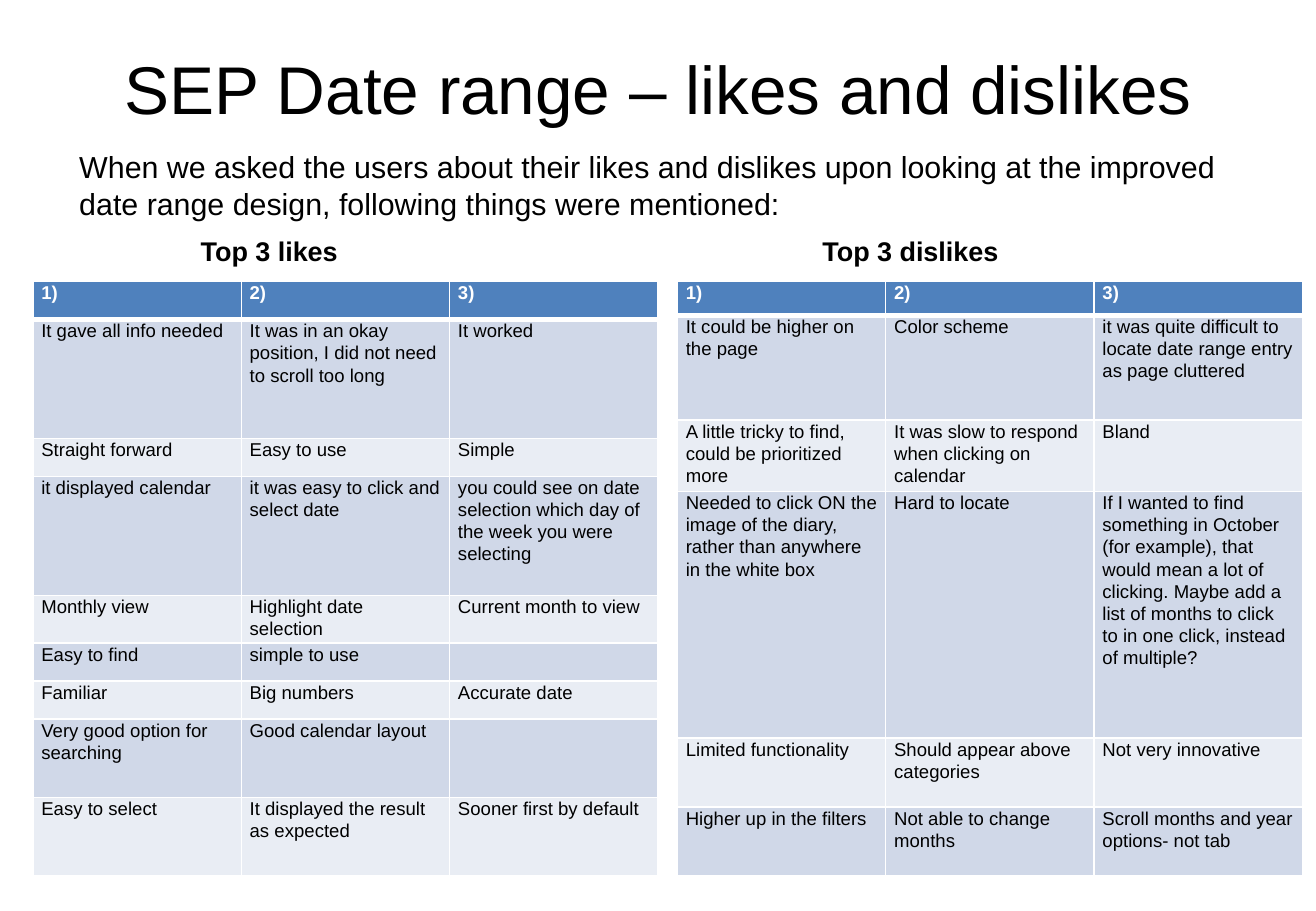
"""Build the slide on likes and dislikes of the date range design."""
import pptx
import pptx.util
import pptx.dml.color
import pptx.enum.text
import pptx.oxml.ns
import lxml.etree

Pt = pptx.util.Pt


def color(value):
    """Turn a hex string into a colour."""
    return pptx.dml.color.RGBColor.from_string(value)


class Deck:
    """Hold the style and the current slide."""

    font = "Arial"
    ink, paper = "000000", "FFFFFF"
    header, bands = "4F81BD", ("E9EDF4", "D0D8E8")

    def __init__(self, prs):
        """Add a blank slide to the presentation."""
        self.s = prs.slides.add_slide(prs.slide_layouts[6])

    def style(self, p, size, ink, bold=False):
        """Set the font of a paragraph."""
        p.font.name = self.font
        p.font.size = Pt(size)
        p.font.bold = bold
        p.font.color.rgb = color(ink)

    def text(self, text, x, y, w, h, size, bold=False, align="LEFT"):
        """Add a text box without margins."""
        tf = self.s.shapes.add_textbox(Pt(x), Pt(y), Pt(w), Pt(h)).text_frame
        tf.word_wrap = True
        tf.margin_left = tf.margin_right = tf.margin_top = tf.margin_bottom = 0
        p = tf.paragraphs[0]
        p.text = text
        p.alignment = getattr(pptx.enum.text.PP_ALIGN, align)
        self.style(p, size, self.ink, bold)

    def border(self, cell, **widths):
        """Draw the four borders of a cell."""
        tag = pptx.oxml.ns.qn
        tc_pr = cell._tc.get_or_add_tcPr()
        for side in "LRTB":
            ln = lxml.etree.SubElement(tc_pr, tag("a:ln" + side), w=str(Pt(widths.get(side, 1))))
            fill = lxml.etree.SubElement(ln, tag("a:solidFill"))
            lxml.etree.SubElement(fill, tag("a:srgbClr"), val=self.paper)

    def cell(self, cell, text, row):
        """Fill one table cell according to its row."""
        cell.margin_left = cell.margin_right = Pt(5)
        cell.margin_top = cell.margin_bottom = 0
        self.border(cell, **({"B": 3} if row == 0 else {"T": 3} if row == 1 else {}))
        cell.fill.solid()
        cell.fill.fore_color.rgb = color(self.bands[row % 2] if row else self.header)
        p = cell.text_frame.paragraphs[0]
        p.text = text
        p.line_spacing = 1.07
        self.style(p, 11, self.ink if row else self.paper, row == 0)

    def table(self, rows, heights, x, y, col_width):
        """Add a banded table with a header row."""
        cols = len(rows[0])
        frame = self.s.shapes.add_table(
            len(rows), cols, Pt(x), Pt(y), Pt(col_width * cols), Pt(sum(heights)))
        table = frame.table
        for column in table.columns:
            column.width = Pt(col_width)
        for i, (row, height) in enumerate(zip(rows, heights)):
            table.rows[i].height = Pt(height)
            for j, text in enumerate(row):
                self.cell(table.cell(i, j), text, i)


HEADER = ("1)", "2)", "3)")
LIKES = [
    HEADER,
    ("It gave all info needed",
     "It was in an okay position, I did not need to scroll too long", "It worked"),
    ("Straight forward", "Easy to use", "Simple"),
    ("it displayed calendar", "it was easy to click and select date",
     "you could see on date selection which day of the week you were selecting"),
    ("Monthly view", "Highlight date selection", "Current month to view"),
    ("Easy to find", "simple to use", ""),
    ("Familiar", "Big numbers", "Accurate date"),
    ("Very good option for searching", "Good calendar layout", ""),
    ("Easy to select", "It displayed the result as expected", "Sooner first by default"),
]
DISLIKES = [
    HEADER,
    ("It could be higher on the page", "Color scheme",
     "it was quite difficult to locate date range entry as page cluttered"),
    ("A little tricky to find, could be prioritized more",
     "It was slow to respond when clicking on calendar", "Bland"),
    ("Needed to click ON the image of the diary, rather than anywhere in the white box",
     "Hard to locate",
     "If I wanted to find something in October (for example), that would mean a lot of "
     "clicking. Maybe add a list of months to click to in one click, instead of multiple?"),
    ("Limited functionality", "Should appear above categories", "Not very innovative"),
    ("Higher up in the filters", "Not able to change months",
     "Scroll months and year options- not tab"),
]
LIKE_HEIGHTS = (22.5, 70.5, 22.5, 70.5, 26, 22.5, 22.5, 46.5, 46.5)
DISLIKE_HEIGHTS = (20, 62, 41, 146, 41, 41)

prs = pptx.Presentation()
prs.slide_width, prs.slide_height = Pt(780), Pt(540)
deck = Deck(prs)
deck.text("SEP Date range – likes and dislikes", 39, 28, 702, 46, 40, align="CENTER")
deck.text("When we asked the users about their likes and dislikes upon looking at the "
          "improved date range design, following things were mentioned:", 47, 88, 687, 43, 18)
for title, title_x, rows, heights, x in (
        ("Top 3 likes", 119, LIKES, LIKE_HEIGHTS, 19.5),
        ("Top 3 dislikes", 487.5, DISLIKES, DISLIKE_HEIGHTS, 401.5)):
    deck.text(title, title_x, 139, 150, 19, 16, bold=True)
    deck.table(rows, heights, x, 167, 123.5)
prs.save("out.pptx")
